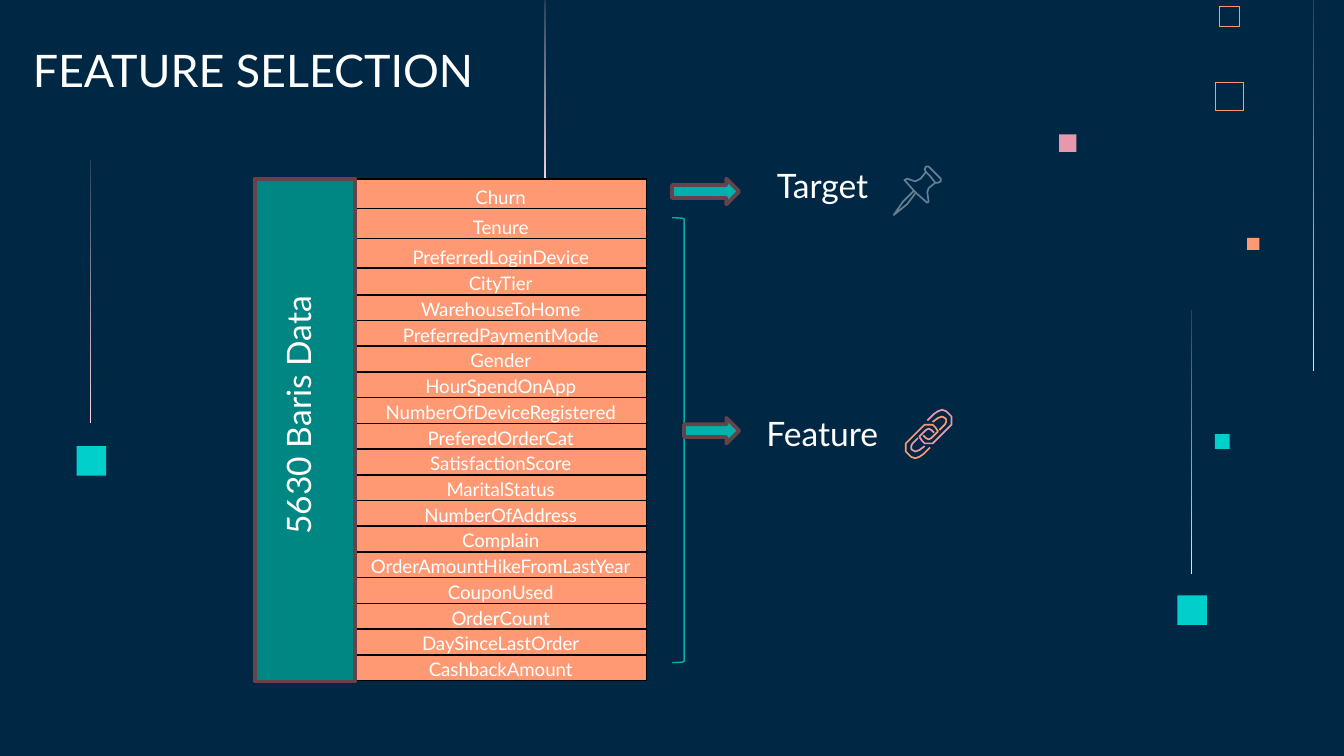
from typing import NamedTuple, Optional

from lxml import etree
from pptx import Presentation
from pptx.dml.color import RGBColor
from pptx.enum.shapes import MSO_SHAPE
from pptx.enum.text import MSO_ANCHOR, PP_ALIGN
from pptx.oxml.ns import qn
from pptx.util import Inches, Pt

RECTANGLE = MSO_SHAPE.RECTANGLE
ARROW = MSO_SHAPE.RIGHT_ARROW
BRACKET = MSO_SHAPE.RIGHT_BRACKET
CENTER = PP_ALIGN.CENTER
BOTTOM = MSO_ANCHOR.BOTTOM

NAVY = RGBColor(0x00, 0x28, 0x45)
DUSK = RGBColor(0x26, 0x43, 0x5C)
WHITE = RGBColor(0xFF, 0xFF, 0xFF)
BLACK = RGBColor(0x00, 0x00, 0x00)
ORANGE = RGBColor(0xFF, 0x99, 0x73)
PINK = RGBColor(0xE8, 0x98, 0xAC)
PALE_PINK = RGBColor(0xFF, 0xD6, 0xE1)
CYAN = RGBColor(0x00, 0xCF, 0xCC)
TEAL = RGBColor(0x00, 0xB0, 0xAC)
DARK_TEAL = RGBColor(0x00, 0x86, 0x83)
MAROON = RGBColor(0x66, 0x43, 0x4B)
SLATE = RGBColor(0x65, 0x7E, 0x93)
FONT = "Lato"


class Area(NamedTuple):
    left: float
    top: float
    width: float
    height: float


class Square(NamedTuple):
    left: float
    top: float
    side: float
    fill: Optional[RGBColor] = None
    line: Optional[RGBColor] = None
    weight: float = 0.4


class Label(NamedTuple):
    text: str
    area: Area
    size: float = 18
    rotation: float = 0


class Contour(NamedTuple):
    points: list
    closed: bool = False


SQUARES = [
    Square(7.88, 1, 0.13, PINK),
    Square(9.04, 3.23, 0.11, CYAN),
    Square(9.04, 0.61, 0.21, line=ORANGE),
    Square(9.07, 0.05, 0.15, line=ORANGE),
    Square(9.28, 1.77, 0.09, ORANGE),
    Square(8.76, 4.43, 0.22, CYAN),
    Square(0.57, 3.32, 0.22, CYAN),
]
STREAKS = [
    Area(4.05, 0, 0.01, 1.38),
    Area(9.77, 0, 0.01, 2.76),
    Area(8.86, 2.31, 0.01, 1.96),
    Area(0.67, 1.19, 0.01, 1.96),
]
COLUMNS = [
    "Churn", "Tenure", "PreferredLoginDevice", "CityTier", "WarehouseToHome",
    "PreferredPaymentMode", "Gender", "HourSpendOnApp",
    "NumberOfDeviceRegistered", "PreferedOrderCat", "SatisfactionScore",
    "MaritalStatus", "NumberOfAddress", "Complain",
    "OrderAmountHikeFromLastYear", "CouponUsed", "OrderCount",
    "DaySinceLastOrder", "CashbackAmount",
]
TABLE = Area(2.64, 1.33, 2.17, 3.74)
TALL_ROWS = [Pt(16), Pt(16), Pt(16), Pt(14.25)]
SHORT_ROW = Pt(13.8)
LABELS = [
    Label("5630 Baris Data", Area(1.27, 2.89, 1.99, 0.4), rotation=270),
    Label("Target", Area(5.41, 1.23, 1.42, 0.4)),
    Label("Feature ", Area(5.44, 3.07, 1.42, 0.4)),
    Label("FEATURE SELECTION ", Area(-0.4, 0, 4.65, 0.82), size=24),
]
PIN = [
    Contour([
        (6.91, 1.24), (7, 1.33), (7, 1.35), (6.98, 1.36), (6.96, 1.36),
        (6.91, 1.4), (6.9, 1.43), (6.91, 1.5), (6.9, 1.51), (6.81, 1.43),
        (6.73, 1.34), (6.75, 1.33), (6.81, 1.35), (6.85, 1.33), (6.89, 1.28),
        (6.88, 1.26), (6.89, 1.24),
    ], closed=True),
    Contour([(6.8, 1.42), (6.72, 1.5), (6.65, 1.6), (6.75, 1.52), (6.81, 1.44)]),
    Contour([(6.89, 1.28), (6.92, 1.31), (6.96, 1.36)]),
]
LOWER_LINK = [
    Contour([
        (6.92, 3.33), (6.87, 3.38), (6.84, 3.4), (6.81, 3.41), (6.78, 3.4),
        (6.76, 3.38), (6.74, 3.36), (6.74, 3.33), (6.74, 3.3), (6.76, 3.28),
        (6.86, 3.18), (6.88, 3.16), (6.91, 3.16), (6.94, 3.16), (6.96, 3.18),
        (6.98, 3.21), (6.93, 3.26), (6.91, 3.27), (6.89, 3.26), (6.87, 3.24),
    ]),
    Contour([
        (6.99, 3.2), (7.03, 3.16), (7.04, 3.14), (7.04, 3.12), (7.03, 3.11),
        (7.01, 3.1), (6.98, 3.11), (6.94, 3.14),
    ]),
]
CHAIN_CENTER = (6.91, 3.23)


def paint(shape, fill: Optional[RGBColor], line: Optional[RGBColor], weight: float) -> None:
    shape.shadow.inherit = False
    if fill is None:
        shape.fill.background()
    else:
        shape.fill.solid()
        shape.fill.fore_color.rgb = fill
    if line is None:
        shape.line.fill.background()
    else:
        shape.line.color.rgb = line
        shape.line.width = Pt(weight)


def add_preset(page, preset, area: Area, fill=None, line=None, weight: float = 1):
    shape = page.shapes.add_shape(preset, *(Inches(length) for length in area))
    paint(shape, fill, line, weight)
    return shape


def add_streak(page, area: Area) -> None:
    """A hairline that fades in from near the background colour."""
    streak = add_preset(page, RECTANGLE, area)
    streak.fill.gradient()
    streak.fill.gradient_angle = 270
    for stop, color in zip(streak.fill.gradient_stops, (DUSK, PALE_PINK)):
        stop.color.rgb = color


def format_text(paragraph, size: float) -> None:
    paragraph.alignment = CENTER
    for span in paragraph.runs:
        span.font.name = FONT
        span.font.size = Pt(size)
        span.font.color.rgb = WHITE


def add_label(page, label: Label) -> None:
    box = page.shapes.add_textbox(*(Inches(length) for length in label.area))
    box.rotation = label.rotation
    frame = box.text_frame
    frame.word_wrap = True
    frame.vertical_anchor = BOTTOM
    frame.margin_left = frame.margin_right = Inches(0.1)
    frame.margin_top = frame.margin_bottom = Inches(0.1)
    frame.text = label.text
    format_text(frame.paragraphs[0], label.size)


def add_borders(cell) -> None:
    properties = cell._tc.get_or_add_tcPr()
    for index, side in enumerate(("a:lnL", "a:lnR", "a:lnT", "a:lnB")):
        border = etree.Element(qn(side), w=str(Pt(1)))
        solid = etree.SubElement(border, qn("a:solidFill"))
        etree.SubElement(solid, qn("a:srgbClr"), val=str(BLACK))
        properties.insert(index, border)


def add_column_table(page) -> None:
    frame = page.shapes.add_table(len(COLUMNS), 1, *(Inches(length) for length in TABLE))
    table = frame.table
    table.first_row = table.horz_banding = False
    heights = TALL_ROWS + [SHORT_ROW] * (len(COLUMNS) - len(TALL_ROWS))
    for index, (name, height) in enumerate(zip(COLUMNS, heights)):
        table.rows[index].height = height
        cell = table.cell(index, 0)
        cell.margin_left = cell.margin_right = cell.margin_top = Inches(0.01)
        cell.margin_bottom = 0
        cell.vertical_anchor = BOTTOM
        cell.fill.solid()
        cell.fill.fore_color.rgb = ORANGE
        cell.text_frame.text = name
        format_text(cell.text_frame.paragraphs[0], 10)
        add_borders(cell)


def add_icon(page, contours: list, color: RGBColor) -> None:
    builder = page.shapes.build_freeform(scale=1)
    for contour in contours:
        points = [(Inches(x), Inches(y)) for x, y in contour.points]
        builder.move_to(*points[0])
        builder.add_line_segments(points[1:], close=contour.closed)
    paint(builder.convert_to_shape(), None, color, 0.9)


def half_turn(contour: Contour) -> Contour:
    center_x, center_y = CHAIN_CENTER
    turned = [(2 * center_x - x, 2 * center_y - y) for x, y in contour.points]
    return Contour(turned, contour.closed)


def main() -> None:
    deck = Presentation()
    deck.slide_width = Inches(10)
    deck.slide_height = Inches(10 * 9 / 16)
    page = deck.slides.add_slide(deck.slide_layouts[6])
    page.background.fill.solid()
    page.background.fill.fore_color.rgb = NAVY

    # Background decoration
    for square in SQUARES:
        area = Area(square.left, square.top, square.side, square.side)
        add_preset(page, RECTANGLE, area, square.fill, square.line, square.weight)
    for streak in STREAKS:
        add_streak(page, streak)

    # Data columns and the row-count bar
    add_column_table(page)
    bar = add_preset(page, RECTANGLE, Area(0.4, 2.83, 3.74, 0.74), DARK_TEAL, MAROON, 2)
    bar.rotation = 270

    # Arrows and bracket towards target and feature
    add_preset(page, BRACKET, Area(5, 1.62, 0.09, 3.31), line=TEAL, weight=0.75)
    for area in (Area(5, 1.33, 0.5, 0.19), Area(5.09, 3.11, 0.41, 0.19)):
        add_preset(page, ARROW, area, TEAL, MAROON, 2)

    # Pin and chain icons
    add_icon(page, PIN, SLATE)
    add_icon(page, LOWER_LINK, ORANGE)
    add_icon(page, [half_turn(contour) for contour in LOWER_LINK], PINK)

    # Title and labels
    for label in LABELS:
        add_label(page, label)

    deck.save("out.pptx")


if __name__ == "__main__":
    main()
